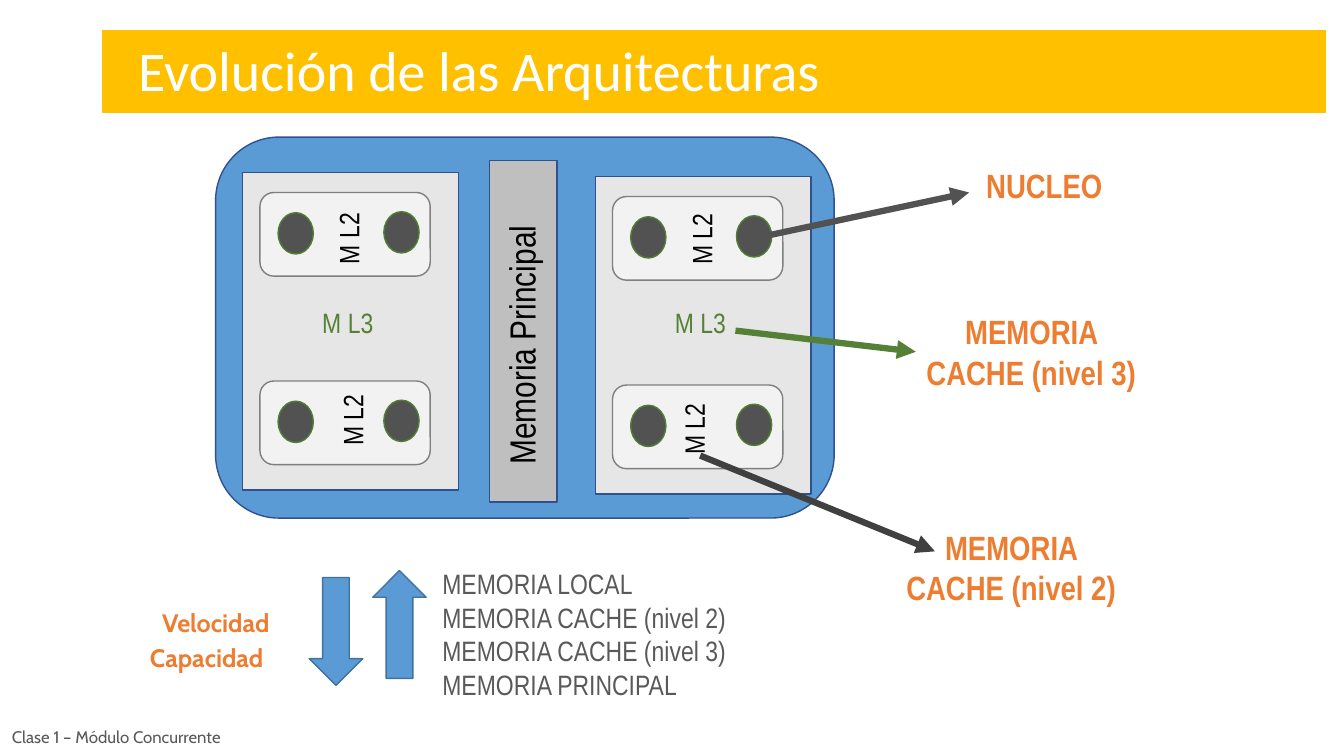
"""Builds the slide on memory levels in the evolution of computer architectures."""
import dataclasses

import lxml.etree
import pptx
import pptx.dml.color
import pptx.enum.shapes
import pptx.enum.text
import pptx.oxml.ns
import pptx.util

Shape = pptx.enum.shapes.MSO_SHAPE
Align = pptx.enum.text.PP_ALIGN
Anchor = pptx.enum.text.MSO_ANCHOR


@dataclasses.dataclass(frozen=True)
class Theme:
    narrow: str = "Arial Narrow"
    cabin: str = "Cabin"
    calibri: str = "Calibri"
    white: str = "FFFFFF"
    black: str = "000000"
    gold: str = "FFC000"
    orange: str = "ED7D31"
    gray_text: str = "595959"
    blue: str = "5B9BD5"
    navy: str = "2F528F"
    arrow_edge: str = "41719C"
    processor: str = "E7E6E6"
    main_memory: str = "BFBFBF"
    cache: str = "F2F2F2"
    cache_edge: str = "7F7F7F"
    core: str = "525252"
    core_edge: str = "507E32"
    green: str = "548135"
    charcoal: str = "404040"
    title_size: int = 40
    main_size: int = 26
    callout_size: int = 24
    body_size: int = 20
    trend_size: int = 18
    footer_size: int = 12


THEME = Theme()
EMU_PER_PX = 9144
SLIDE_SIZE = (1334, 750)

TITLE = ("Evolución de las Arquitecturas", (127, 30, 701, 77))
TITLE_BAR = (102, 30, 1214, 81)
FOOTER = ("Clase 1 – Módulo Concurrente", (2, 708, 256, 45))
MEMORY_LIST = (
    "MEMORIA LOCAL\nMEMORIA CACHE (nivel 2)\nMEMORIA CACHE (nivel 3)\nMEMORIA PRINCIPAL",
    (429, 557, 375, 143),
)

CHIP = (214, 136, 614, 378)
MAIN_MEMORY = (486, 159, 67, 339)
MAIN_LABEL = ("Memoria Principal", (376, 316, 282, 53))
PROCESSORS = [(241, 171), (591, 175)]
PROCESSOR_SIZE = (214, 315)
CACHE_OFFSETS = [(17, 20), (17, 207)]
CACHE_SIZE = (169, 83)
CORE_OFFSETS = [(18, 20), (123, 19)]
CORE_SIZE = (35, 41)

LEVEL_2 = ("M L2", [(649, 400, 79, 43), (656, 211, 80, 43), (302, 207, 87, 43), (311, 392, 77, 43)])
LEVEL_3 = ("M L3", [(310, 298, 75, 43), (660, 298, 85, 43)])

CALLOUTS = [
    ("NUCLEO", (922, 159, 229, 50), (765, 233), (962, 191), THEME.core),
    ("MEMORIA CACHE (nivel 3)", (909, 304, 229, 90), (730, 328), None, THEME.green),
    ("MEMORIA CACHE (nivel 2)", (889, 518, 229, 90), (695, 452), (928, 547), THEME.charcoal),
]
TRENDS = [
    ("Velocidad", (151, 598, 141, 40), (307, 573, 53, 107), 0),
    ("Capacidad", (139, 632, 149, 40), (370, 566, 53, 107), 180),
]


def px(values):
    return [value * EMU_PER_PX for value in values]


def color(value):
    return pptx.dml.color.RGBColor.from_string(value)


def write(shape, text, *, size, font=THEME.narrow, ink=THEME.black, bold=False,
          align=Align.LEFT, anchor=Anchor.TOP):
    frame = shape.text_frame
    frame.text = text
    frame.word_wrap = True
    frame.auto_size = pptx.enum.text.MSO_AUTO_SIZE.NONE
    frame.vertical_anchor = anchor
    for para in frame.paragraphs:
        para.alignment = align
        para.space_before = pptx.util.Pt(0)
        for span in para.runs:
            span.font.name = font
            span.font.size = pptx.util.Pt(size)
            span.font.bold = bold
            span.font.color.rgb = color(ink)


def add_label(shapes, text, place, rotation=0, **style):
    box = shapes.add_textbox(*px(place))
    box.rotation = rotation
    write(box, text, **style)
    return box


def add_block(shapes, kind, place, fill, edge, rotation=0):
    block = shapes.add_shape(kind, *px(place))
    block.shadow.inherit = False
    block.fill.solid()
    block.fill.fore_color.rgb = color(fill)
    block.line.color.rgb = color(edge)
    block.line.width = pptx.util.Pt(1)
    block.rotation = rotation
    return block


def fill_placeholder(shape, content, **style):
    text, place = content
    shape.left, shape.top, shape.width, shape.height = px(place)
    write(shape, text, **style)


def remove_bullets(shape):
    for para in shape.text_frame.paragraphs:
        properties = para._p.get_or_add_pPr()
        properties.set("marL", "0")
        properties.set("indent", "0")
        lxml.etree.SubElement(properties, pptx.oxml.ns.qn("a:buNone"))


def add_arrow(shapes, start, end, ink, target):
    arrow = shapes.add_connector(pptx.enum.shapes.MSO_CONNECTOR.STRAIGHT, *px(start + (end or start)))
    if end is None:
        arrow.end_connect(target, 1)
    arrow.line.color.rgb = color(ink)
    arrow.line.width = pptx.util.Pt(4.5)
    lxml.etree.SubElement(arrow.line._get_or_add_ln(), pptx.oxml.ns.qn("a:tailEnd"), type="triangle")
    lxml.etree.SubElement(arrow._element.spPr, pptx.oxml.ns.qn("a:effectLst"))


def shift(origin, offset):
    return (origin[0] + offset[0], origin[1] + offset[1])


def draw_chip(shapes):
    add_block(shapes, Shape.ROUNDED_RECTANGLE, CHIP, THEME.blue, THEME.navy)
    add_block(shapes, Shape.RECTANGLE, MAIN_MEMORY, THEME.main_memory, THEME.navy)
    add_label(shapes, *MAIN_LABEL, rotation=270, size=THEME.main_size, align=Align.CENTER)
    for processor in PROCESSORS:
        add_block(shapes, Shape.RECTANGLE, processor + PROCESSOR_SIZE, THEME.processor, THEME.navy)
        for cache_offset in CACHE_OFFSETS:
            cache = shift(processor, cache_offset)
            add_block(shapes, Shape.ROUNDED_RECTANGLE, cache + CACHE_SIZE, THEME.cache, THEME.cache_edge)
            for core_offset in CORE_OFFSETS:
                core = shift(cache, core_offset)
                add_block(shapes, Shape.OVAL, core + CORE_SIZE, THEME.core, THEME.core_edge)


def main():
    deck = pptx.Presentation()
    deck.slide_width, deck.slide_height = px(SLIDE_SIZE)
    page = deck.slides.add_slide(deck.slide_layouts[1])
    shapes = page.shapes

    bar = add_block(shapes, Shape.RECTANGLE, TITLE_BAR, THEME.gold, THEME.gold)
    shapes.title._element.addprevious(bar._element)
    fill_placeholder(shapes.title, TITLE, size=THEME.title_size, font=THEME.calibri, ink=THEME.white)
    memory_list = page.placeholders[1]
    fill_placeholder(memory_list, MEMORY_LIST, size=THEME.body_size, ink=THEME.gray_text)
    remove_bullets(memory_list)
    add_label(shapes, *FOOTER, size=THEME.footer_size, font=THEME.cabin, ink=THEME.gray_text,
              anchor=Anchor.MIDDLE)

    draw_chip(shapes.add_group_shape().shapes)
    for (text, places), rotation, ink in ((LEVEL_2, 270, THEME.black), (LEVEL_3, 0, THEME.green)):
        for place in places:
            add_label(shapes, text, place, rotation, size=THEME.body_size, ink=ink)

    for text, place, start, end, ink in CALLOUTS:
        callout = add_label(shapes, text, place, size=THEME.callout_size, ink=THEME.orange,
                            bold=True, align=Align.CENTER)
        add_arrow(shapes, start, end, ink, callout)

    for text, place, arrow_place, rotation in TRENDS:
        add_block(shapes, Shape.DOWN_ARROW, arrow_place, THEME.blue, THEME.arrow_edge, rotation)
        add_label(shapes, text, place, size=THEME.trend_size, font=THEME.cabin, ink=THEME.orange, bold=True)

    deck.save("out.pptx")


if __name__ == "__main__":
    main()
